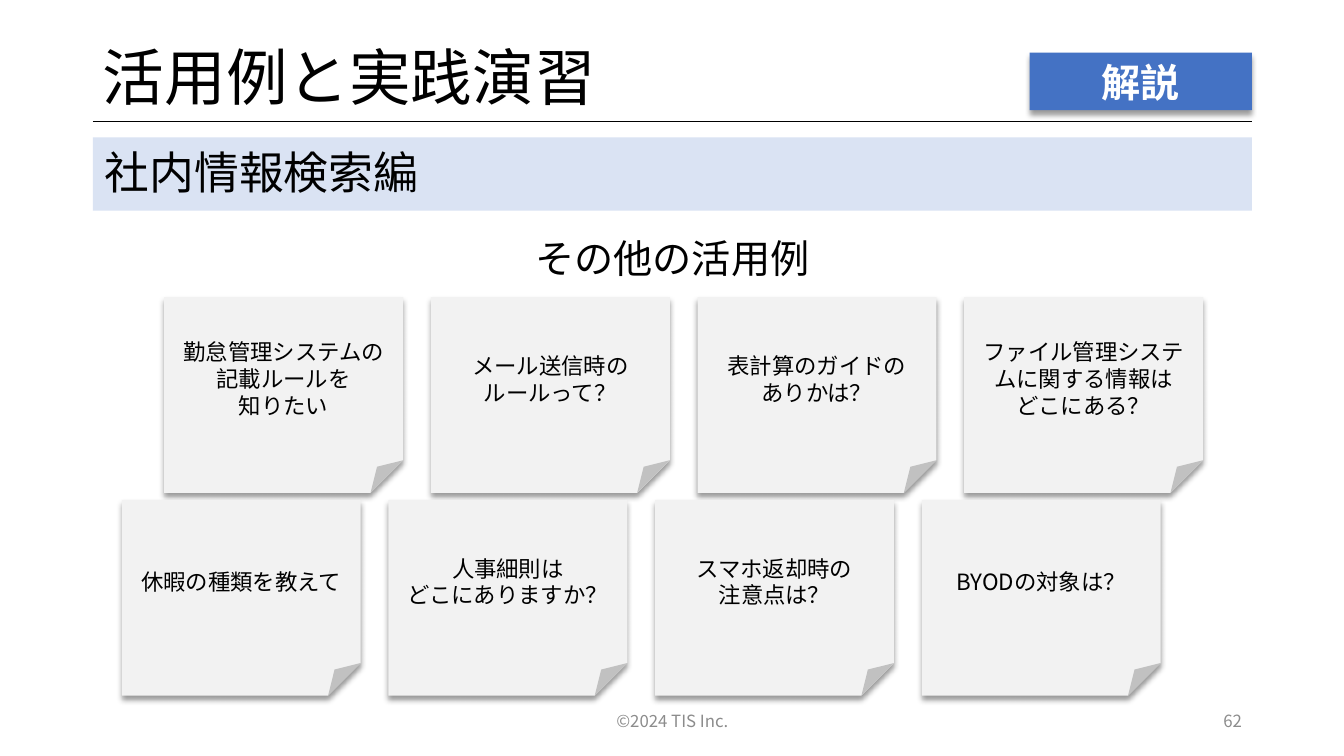
from lxml.etree import SubElement
from pptx import Presentation
from pptx.dml.color import RGBColor
from pptx.enum.shapes import MSO_CONNECTOR, MSO_SHAPE
from pptx.enum.text import MSO_ANCHOR, MSO_AUTO_SIZE, PP_ALIGN
from pptx.oxml.ns import qn
from pptx.util import Cm, Pt

FONT = "Noto Sans CJK JP"
BLACK, WHITE, GRAY = "000000", "FFFFFF", "8C8C8C"
BLUE, PALE_BLUE, NOTE_GRAY = "4472C4", "DAE3F3", "F2F2F2"

LEFT, WIDTH = 2.34, 29.21
NOTE_WIDTH, NOTE_HEIGHT, NOTE_PITCH = 6.02, 4.93, 6.72
NOTE_ROWS = [
    (4.14, 7.49, ["勤怠管理システムの\n記載ルールを\n知りたい",
                  "メール送信時の\nルールって？",
                  "表計算のガイドの\nありかは？",
                  "ファイル管理システムに関する情報は\vどこにある？"]),
    (3.07, 12.6, ["休暇の種類を教えて",
                  "人事細則は\nどこにありますか？",
                  "スマホ返却時の\n注意点は？",
                  "BYODの対象は？"]),
]


def color(hex_string):
    return RGBColor.from_string(hex_string)


def write(shape, text, size, hex_color=BLACK, align=PP_ALIGN.LEFT, bold=False, spacing=1.0):
    frame = shape.text_frame
    frame.text = text
    frame.word_wrap = True
    frame.auto_size = MSO_AUTO_SIZE.NONE
    frame.vertical_anchor = MSO_ANCHOR.MIDDLE
    for paragraph in frame.paragraphs:
        paragraph.alignment = align
        paragraph.line_spacing = spacing
        for run in paragraph.runs:
            run.font.size = Pt(size)
            run.font.bold = bold
            run.font.color.rgb = color(hex_color)
            run.font.name = FONT
            SubElement(run.font._element, qn("a:ea"), typeface=FONT)


def add_text(slide, box, text, size, **style):
    write(slide.shapes.add_textbox(*map(Cm, box)), text, size, **style)


def add_filled(slide, kind, box, fill):
    shape = slide.shapes.add_shape(kind, *map(Cm, box))
    shape.shadow.inherit = False
    shape.fill.solid()
    shape.fill.fore_color.rgb = color(fill)
    shape.line.fill.background()
    return shape


def cast_shadow(shape):
    """Give the shape a soft shadow straight below it."""
    effects = shape._element.spPr.find(qn("a:effectLst"))
    shadow = SubElement(effects, qn("a:outerShdw"), blurRad=str(Pt(4)), dist=str(Pt(3)),
                        dir="5400000", algn="t", rotWithShape="0")
    shade = SubElement(shadow, qn("a:srgbClr"), val=BLACK)
    SubElement(shade, qn("a:alpha"), val="40000")


def add_header(slide, left, top, width):
    rule_top = top + 2.03
    rule = slide.shapes.add_connector(MSO_CONNECTOR.STRAIGHT, Cm(left), Cm(rule_top),
                                      Cm(left + width), Cm(rule_top))
    rule.line.color.rgb = color(BLACK)
    rule.line.width = Pt(0.5)
    SubElement(rule._element.spPr, qn("a:effectLst"))

    title = slide.shapes.title
    title.left, title.top, title.width, title.height = map(Cm, (left, top, width, 2.03))
    write(title, "活用例と実践演習", 44, spacing=0.9)

    badge = add_filled(slide, MSO_SHAPE.RECTANGLE, (left + width - 5.6, top + 0.31, 5.6, 1.45), BLUE)
    cast_shadow(badge)
    write(badge, "解説", 28, WHITE, PP_ALIGN.CENTER, bold=True)


def add_section(slide, left, top, width):
    add_filled(slide, MSO_SHAPE.RECTANGLE, (left, top, width, 1.85), PALE_BLUE)
    add_text(slide, (left + 0.05, top + 0.03, width, 1.85), "社内情報検索編", 32, spacing=0.9)
    add_text(slide, (left, top + 2.18, width, 1.85), "その他の活用例", 28,
             align=PP_ALIGN.CENTER, spacing=0.9)


def add_note_row(slide, left, top, notes):
    for column, text in enumerate(notes):
        box = (left + column * NOTE_PITCH, top, NOTE_WIDTH, NOTE_HEIGHT)
        note = add_filled(slide, MSO_SHAPE.FOLDED_CORNER, box, NOTE_GRAY)
        cast_shadow(note)
        write(note, text, 16, align=PP_ALIGN.CENTER)


def add_footer(slide, left, top, width):
    add_text(slide, (left + 8.89, top, 11.43, 1.01), "©2024 TIS Inc.", 12,
             hex_color=GRAY, align=PP_ALIGN.CENTER)
    add_text(slide, (left + width - 7.62, top, 7.62, 1.01), "62", 12,
             hex_color=GRAY, align=PP_ALIGN.RIGHT)


def main():
    presentation = Presentation()
    presentation.slide_width, presentation.slide_height = Cm(33.87), Cm(19.05)
    slide = presentation.slides.add_slide(presentation.slide_layouts[5])
    add_header(slide, LEFT, 1.02, WIDTH)
    add_section(slide, LEFT, 3.46, WIDTH)
    for left, top, notes in NOTE_ROWS:
        add_note_row(slide, left, top, notes)
    add_footer(slide, LEFT, 17.66, WIDTH)
    presentation.save("out.pptx")


if __name__ == "__main__":
    main()
